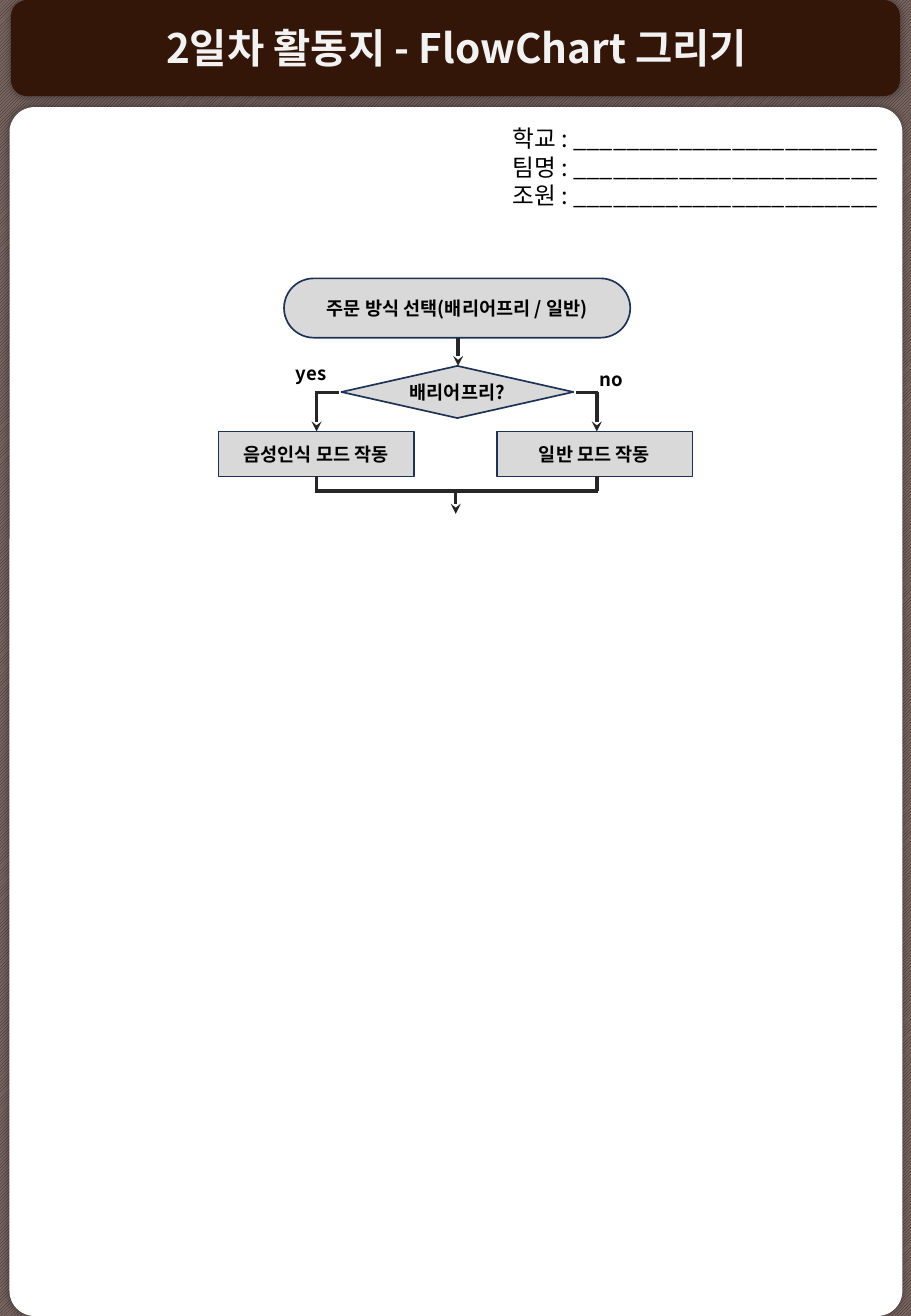
from typing import NamedTuple, Optional

from lxml.etree import SubElement
from pptx import Presentation
from pptx.dml.color import RGBColor
from pptx.enum.dml import MSO_PATTERN
from pptx.enum.shapes import MSO_CONNECTOR, MSO_SHAPE
from pptx.enum.text import MSO_ANCHOR, MSO_AUTO_SIZE, PP_ALIGN
from pptx.oxml.ns import qn
from pptx.util import Cm, Pt

FONT = "Noto Sans CJK KR"
WIDTH, HEIGHT = 19.05, 27.51
INK, BLACK, WHITE = "262626", "000000", "FFFFFF"

# Levels and columns of the flow chart
BRANCH_Y, MODE_Y, MODE_H, MERGE_Y = 8.2, 9.02, 0.94, 10.26
YES_X, NO_X = 6.62, 12.48


class Box(NamedTuple):
    left: float
    top: float
    width: float
    height: float


class Node(NamedTuple):
    text: str
    box: Box
    kind: MSO_SHAPE
    radius: Optional[float] = None


class Line(NamedTuple):
    x1: float
    y1: float
    x2: float
    y2: float
    arrow: bool = False


NODES = [
    Node("주문 방식 선택(배리어프리 / 일반)", Box(5.94, 5.82, 7.24, 1.24),
         MSO_SHAPE.ROUNDED_RECTANGLE, 0.5),
    Node("배리어프리?", Box(7.14, 7.65, 4.85, 1.09), MSO_SHAPE.FLOWCHART_DECISION),
    Node("음성인식 모드 작동", Box(4.57, MODE_Y, 4.09, MODE_H), MSO_SHAPE.RECTANGLE),
    Node("일반 모드 작동", Box(10.39, MODE_Y, 4.09, MODE_H), MSO_SHAPE.RECTANGLE),
]
LINES = [
    Line(9.58, 7.06, 9.58, 7.65, True),
    Line(YES_X, BRANCH_Y, YES_X, MODE_Y, True),
    Line(YES_X - 0.03, BRANCH_Y, 7.09, BRANCH_Y),
    Line(NO_X, BRANCH_Y, NO_X, MODE_Y, True),
    Line(NO_X + 0.03, BRANCH_Y, 12.04, BRANCH_Y),
    Line(9.53, MERGE_Y, 9.53, 10.74, True),
    Line(NO_X + 0.03, MERGE_Y, YES_X - 0.03, MERGE_Y),
    Line(NO_X, MODE_Y + MODE_H, NO_X, MERGE_Y),
    Line(YES_X, MODE_Y + MODE_H, YES_X, MERGE_Y),
]
LABELS = {"yes": Box(5.38, 7.42, 2.26, 0.64), "no": Box(11.66, 7.54, 2.26, 0.64)}
FIELDS = ["학교", "팀명", "조원"]


def rgb(color: str) -> RGBColor:
    return RGBColor.from_string(color)


def lengths(box: Box) -> list:
    return [Cm(v) for v in box]


def write(sp, lines: list, size: float, color: str = BLACK, bold: bool = True,
          align=PP_ALIGN.CENTER, spacing: Optional[float] = None) -> None:
    tf = sp.text_frame
    tf.word_wrap = True
    tf.text = "\n".join(lines)
    for p in tf.paragraphs:
        p.alignment = align
        if spacing:
            p.line_spacing = Pt(spacing)
        p.font.size, p.font.bold, p.font.name = Pt(size), bold, FONT
        p.font.color.rgb = rgb(color)
        SubElement(p._p.pPr.find(qn("a:defRPr")), qn("a:ea"), typeface=FONT)


def add_block(shapes, kind: MSO_SHAPE, box: Box, fill: str, radius: Optional[float] = None):
    sp = shapes.add_shape(kind, *lengths(box))
    sp.shadow.inherit = False
    sp.fill.solid()
    sp.fill.fore_color.rgb = rgb(fill)
    sp.line.fill.background()
    if radius is not None:
        sp.adjustments[0] = radius
    return sp


def add_panel(shapes, box: Box, fill: str, radius: float) -> None:
    sp = add_block(shapes, MSO_SHAPE.ROUNDED_RECTANGLE, box, fill, radius)
    effects = sp._element.spPr.find(qn("a:effectLst"))
    shadow = SubElement(effects, qn("a:outerShdw"), blurRad=str(Pt(5)), dist="0",
                        dir="0", algn="ctr", rotWithShape="0")
    color = SubElement(shadow, qn("a:srgbClr"), val=BLACK)
    SubElement(color, qn("a:alpha"), val="40000")


def add_node(shapes, node: Node) -> None:
    sp = add_block(shapes, node.kind, node.box, "D9D9D9", node.radius)
    sp.line.color.rgb = rgb("1E3256")
    sp.line.width = Pt(1)
    tf = sp.text_frame
    tf.margin_left = tf.margin_right = tf.margin_top = tf.margin_bottom = 0
    tf.vertical_anchor = MSO_ANCHOR.MIDDLE
    write(sp, [node.text], 11)


def add_line(shapes, line: Line) -> None:
    cx = shapes.add_connector(MSO_CONNECTOR.STRAIGHT, Cm(line.x1), Cm(line.y1),
                              Cm(line.x2), Cm(line.y2))
    cx.line.color.rgb = rgb(INK)
    cx.line.width = Pt(2)
    if line.arrow:
        SubElement(cx.line._get_or_add_ln(), qn("a:tailEnd"), type="stealth")
    SubElement(cx._element.spPr, qn("a:effectLst"))


def main() -> None:
    prs = Presentation()
    prs.slide_width, prs.slide_height = Cm(WIDTH), Cm(HEIGHT)
    s = prs.slides.add_slide(prs.slide_layouts[5])

    # Hatched backdrop, header and page
    backdrop = add_block(s.shapes, MSO_SHAPE.RECTANGLE, Box(0, 0, WIDTH, HEIGHT), WHITE)
    backdrop.fill.patterned()
    backdrop.fill.pattern = MSO_PATTERN.LIGHT_UPWARD_DIAGONAL
    backdrop.fill.fore_color.rgb = rgb(INK)
    backdrop.fill.back_color.rgb = rgb("7A6560")
    add_panel(s.shapes, Box(0.23, 0, 18.59, 2.01), "331608", 0.168)
    add_panel(s.shapes, Box(0.2, 2.24, 18.67, 25.27), WHITE, 0.028)

    # Title, brought in front of the header
    title = s.shapes.title
    title.left, title.top, title.width, title.height = lengths(Box(1.42, 0.23, 16.26, 1.5))
    title.text_frame.vertical_anchor = MSO_ANCHOR.MIDDLE
    title.text_frame.auto_size = MSO_AUTO_SIZE.NONE
    write(title, ["2일차 활동지 - FlowChart 그리기"], 24, "F2F2F2")
    title._element.getparent().append(title._element)

    # Fields to fill in
    fields = s.shapes.add_textbox(*lengths(Box(5.38, 2.46, 13.23, 2.06)))
    write(fields, [f"{name} : {'_' * 23}" for name in FIELDS], 14, bold=False,
          align=PP_ALIGN.RIGHT, spacing=17)

    # Flow chart
    chart = s.shapes.add_group_shape().shapes
    for node in NODES:
        add_node(chart, node)
    for line in LINES:
        add_line(chart, line)
    for text, box in LABELS.items():
        write(chart.add_textbox(*lengths(box)), [text], 11, spacing=14)

    prs.save("out.pptx")


if __name__ == "__main__":
    main()
